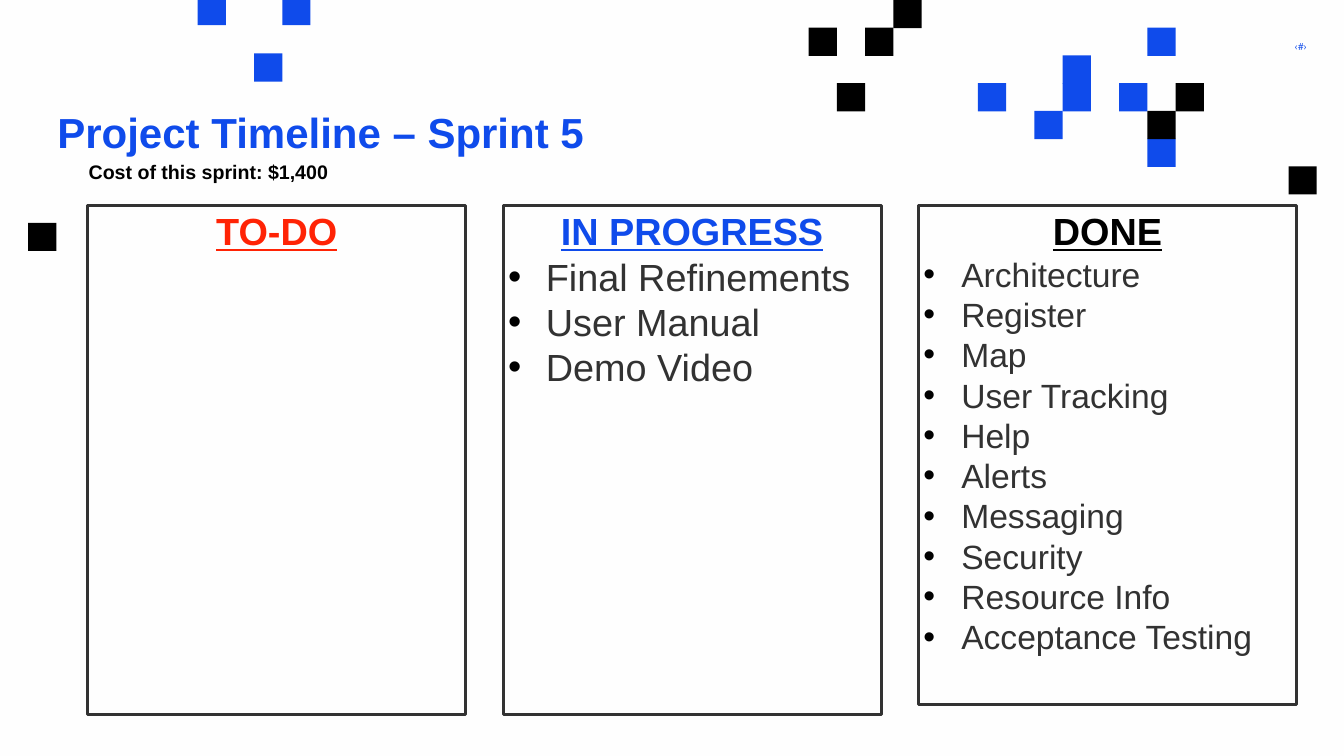
from lxml import etree
from pptx import Presentation
from pptx.dml.color import RGBColor
from pptx.enum.shapes import MSO_SHAPE
from pptx.enum.text import MSO_ANCHOR, PP_ALIGN
from pptx.oxml.ns import qn
from pptx.util import Inches, Pt

RECTANGLE = MSO_SHAPE.RECTANGLE
TOP = MSO_ANCHOR.TOP
LEFT, CENTER, RIGHT = PP_ALIGN.LEFT, PP_ALIGN.CENTER, PP_ALIGN.RIGHT

COLORS = {
    "background": "FEFEFE",
    "blue": "0F4BEB",
    "black": "000000",
    "red": "FF2305",
    "gray": "323232",
}
SQUARE = 0.56
LEFT_SQUARES = {"blue": [(10, 0), (7, 0), (9, 2)], "black": [(1, 8)]}
RIGHT_SQUARES = {
    "blue": [(12, 1), (9, 2), (11, 3), (9, 3), (6, 3), (8, 4), (12, 5)],
    "black": [(3, 0), (2, 1), (0, 1), (13, 3), (1, 3), (12, 4), (17, 6)],
}
COLUMNS = [
    ("TO-DO", "red", 10.1, 54, []),
    ("IN PROGRESS", "blue", 10.1, 54,
     ["Final Refinements", "User Manual", "Demo Video"]),
    ("DONE", "black", 9.9, 48,
     ["Architecture", "Register", "Map", "User Tracking", "Help", "Alerts",
      "Messaging", "Security", "Resource Info", "Acceptance Testing"]),
]


def rgb(name):
    """Return the named colour."""
    return RGBColor.from_string(COLORS[name])


def write(para, text, size, color, bold=False, align=LEFT, name="Arial"):
    """Fill a paragraph with text in one font."""
    para.text = text
    para.alignment = align
    para.font.name = name
    para.font.size = Pt(size)
    para.font.bold = bold
    para.font.color.rgb = rgb(color)


def add_bullet(para):
    """Give a paragraph a black hanging bullet."""
    props = para._p.get_or_add_pPr()
    props.set("marL", str(Inches(0.75)))
    props.set("indent", str(-Inches(0.75)))
    color = etree.SubElement(props, qn("a:buClr"))
    etree.SubElement(color, qn("a:srgbClr"), val=COLORS["black"])
    etree.SubElement(props, qn("a:buFont"), typeface="Arial")
    etree.SubElement(props, qn("a:buChar"), char="•")


def add_label(page, left, top, width, height, margins):
    """Add a wrapping text box and return its first paragraph."""
    box = page.shapes.add_textbox(*map(Inches, (left, top, width, height)))
    frame = box.text_frame
    frame.word_wrap = True
    frame.margin_left = frame.margin_right = Inches(margins[0])
    frame.margin_top = frame.margin_bottom = Inches(margins[1])
    return frame.paragraphs[0]


def add_squares(page, left, top, row_pitch, squares):
    """Scatter squares on a grid, cut off at the top of the slide."""
    for color, cells in squares.items():
        for column, row in cells:
            y = top + row * row_pitch
            visible_top = max(0, y)
            box = page.shapes.add_shape(
                RECTANGLE, Inches(left + column * SQUARE), Inches(visible_top),
                Inches(SQUARE), Inches(y + SQUARE - visible_top))
            box.shadow.inherit = False
            box.fill.solid()
            box.fill.fore_color.rgb = rgb(color)
            box.line.fill.background()


def add_header(page, left, top):
    """Add the page number, the title and the cost line."""
    number = add_label(page, left + 22.32, top - 1.11, 2.56, 0.24, (0, 0))
    write(number, "‹#›", 14, "blue", align=RIGHT, name="Roboto")
    title = add_label(page, left, top, 17.09, 2.67, (0.1, 0.1))
    write(title, "Project Timeline – Sprint 5", 60, "blue", bold=True)
    title.line_spacing = 1.1
    cost = add_label(page, left + 0.62, top + 1.21, 11.43, 0.57, (0.1, 0.05))
    write(cost, "Cost of this sprint: $1,400", 28, "black", bold=True)


def add_column(page, left, top, width, column):
    """Add one outlined task column with its heading and bullets."""
    heading, color, height, size, tasks = column
    box = page.shapes.add_shape(
        RECTANGLE, *map(Inches, (left, top, width, height)))
    box.shadow.inherit = False
    box.fill.background()
    box.line.color.rgb = rgb("gray")
    box.line.width = Pt(4.5)
    frame = box.text_frame
    frame.word_wrap = True
    frame.vertical_anchor = TOP
    title = frame.paragraphs[0]
    write(title, heading, 54, color, bold=True, align=CENTER)
    title.font.underline = True
    for task in tasks:
        para = frame.add_paragraph()
        add_bullet(para)
        write(para, task, size, "gray")


def main():
    """Build and save the sprint slide."""
    deck = Presentation()
    deck.slide_width, deck.slide_height = Inches(26.66), Inches(15)
    page = deck.slides.add_slide(deck.slide_layouts[6])
    page.background.fill.solid()
    page.background.fill.fore_color.rgb = rgb("background")
    add_squares(page, 0, -0.06, 0.56, LEFT_SQUARES)
    add_squares(page, 16.04, 0, 0.55, RIGHT_SQUARES)
    add_header(page, 1.04, 1.92)
    for index, column in enumerate(COLUMNS):
        add_column(page, 1.74 + index * 8.24, 4.08, 7.5, column)
    deck.save("out.pptx")


if __name__ == "__main__":
    main()
